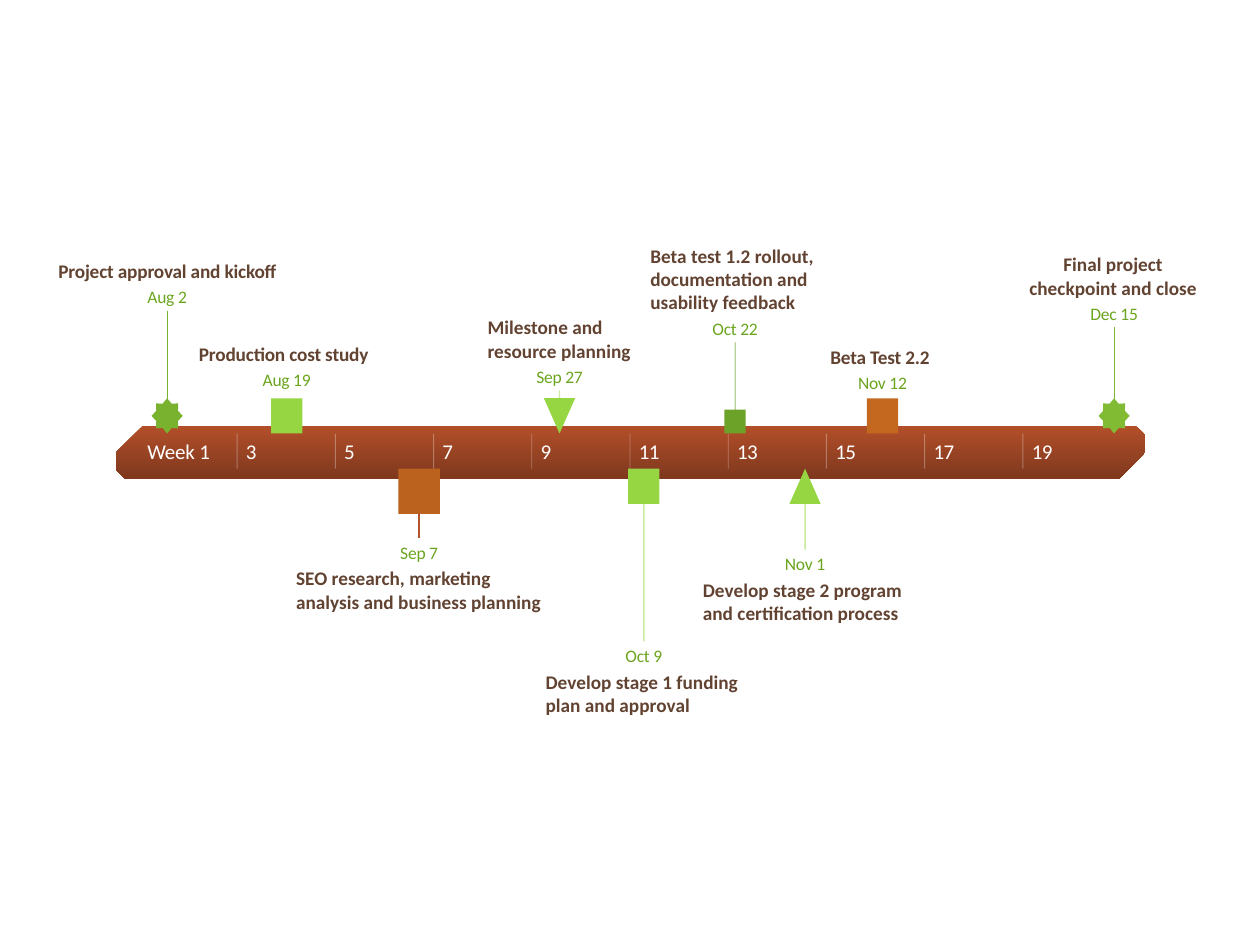
from dataclasses import dataclass
from typing import Optional

import lxml.etree
import pptx
import pptx.dml.color
import pptx.enum.shapes
import pptx.enum.text
import pptx.oxml.ns
import pptx.shapes.autoshape
import pptx.shapes.shapetree
import pptx.util

Cm = pptx.util.Cm
Pt = pptx.util.Pt
RGB = pptx.dml.color.RGBColor.from_string
Shapes = pptx.shapes.shapetree.SlideShapes
MSO = pptx.enum.shapes.MSO_SHAPE
ALIGN = pptx.enum.text.PP_ALIGN
qn = pptx.oxml.ns.qn


@dataclass(frozen=True)
class Theme:
    font: str = "Calibri"
    title: str = "624332"
    date: str = "6BA51F"
    white: str = "FFFFFF"
    band_top: str = "B24F29"
    band_bottom: str = "7F381E"
    lime: str = "96D642"
    leaf: str = "79B22E"
    grass: str = "81BB34"
    moss: str = "6DA228"
    amber: str = "C46820"
    rust: str = "BA621E"
    brick: str = "B1542C"
    week_size: float = 12
    title_size: float = 11
    date_size: float = 10
    stem_width: float = 0.75
    tick_width: float = 0.5


@dataclass(frozen=True)
class Box:
    left: float
    top: float
    width: float
    height: float


@dataclass(frozen=True)
class Style:
    size: float
    color: str
    bold: bool = False
    spacing: int = 0
    align: ALIGN = ALIGN.LEFT


@dataclass(frozen=True)
class Stem:
    color: str
    opacity: int = 100


@dataclass(frozen=True)
class Milestone:
    title: str
    date: str
    x: float
    date_top: float
    title_left: float
    title_width: float
    lines: int
    shape: MSO
    color: str
    stem: Optional[Stem] = None
    above: bool = True
    align: ALIGN = ALIGN.LEFT
    width: float = 0.63
    height: float = 0.71

    @property
    def marker_top(self) -> float:
        return INNER_TOP - self.height if self.above else INNER_BOTTOM


T = Theme()
BAND = Box(2.34, 8.59, 20.75, 1.06)
INNER_TOP, INNER_BOTTOM = 8.74, 9.45
FIRST_TICK, TICK_STEP = 4.78, 1.98
LINE_HEIGHT, DATE_HEIGHT, GAP = 0.47, 0.43, 0.07
FAINT_LIME = Stem(T.lime, 50)

MILESTONES = [
    Milestone("Project approval and kickoff", "Aug 2", 3.37, 5.77, 1.12, 4.52, 1,
              MSO.STAR_8_POINT, T.leaf, Stem(T.leaf), align=ALIGN.CENTER),
    Milestone("Production cost study", "Aug 19", 5.78, 7.44, 4.01, 3.51, 1,
              MSO.RECTANGLE, T.lime),
    Milestone("Milestone and resource planning", "Sep 27", 11.28, 7.37, 9.83, 2.92, 2,
              MSO.ISOSCELES_TRIANGLE, T.lime, FAINT_LIME),
    Milestone("Beta test 1.2 rollout, documentation and usability feedback", "Oct 22",
              14.82, 6.4, 13.11, 3.38, 3, MSO.RECTANGLE, T.moss, Stem(T.moss, 50),
              width=0.43, height=0.48),
    Milestone("Beta Test 2.2", "Nov 12", 17.79, 7.49, 16.74, 2.06, 1,
              MSO.RECTANGLE, T.amber),
    Milestone("Final project checkpoint and close", "Dec 15", 22.46, 6.1, 20.74, 3.4, 2,
              MSO.STAR_8_POINT, T.grass, Stem(T.grass), align=ALIGN.CENTER),
    Milestone("SEO research, marketing analysis and business planning", "Sep 7",
              8.45, 10.92, 5.97, 4.95, 2, MSO.RECTANGLE, T.rust, Stem(T.brick),
              above=False, width=0.84, height=0.91),
    Milestone("Develop stage 1 funding plan and approval", "Oct 9", 12.98, 13, 11, 3.99, 2,
              MSO.RECTANGLE, T.lime, FAINT_LIME, above=False),
    Milestone("Develop stage 2 program and certification process", "Nov 1",
              16.23, 11.15, 14.17, 4.09, 2, MSO.ISOSCELES_TRIANGLE, T.lime, FAINT_LIME,
              above=False),
]


def add_text(shapes: Shapes, text: str, box: Box, style: Style, wrap: bool = False) -> None:
    sp = shapes.add_textbox(Cm(box.left), Cm(box.top), Cm(box.width), Cm(box.height))
    tf = sp.text_frame
    tf.margin_left = tf.margin_top = tf.margin_right = tf.margin_bottom = 0
    tf.vertical_anchor = pptx.enum.text.MSO_ANCHOR.MIDDLE
    tf.word_wrap = wrap
    tf.text = text
    p = tf.paragraphs[0]
    p.alignment = style.align
    f = p.runs[0].font
    f.name, f.size, f.bold = T.font, Pt(style.size), style.bold
    f.color.rgb = RGB(style.color)
    if style.spacing:
        p.runs[0]._r.get_or_add_rPr().set("spc", str(style.spacing))


def add_vertical(shapes: Shapes, x: float, top: float, bottom: float,
                 stem: Stem, width: float) -> None:
    c = shapes.add_connector(pptx.enum.shapes.MSO_CONNECTOR.STRAIGHT,
                             Cm(x), Cm(top), Cm(x), Cm(bottom))
    c.line.width = Pt(width)
    c.line.color.rgb = RGB(stem.color)
    spPr = c._element.spPr
    if stem.opacity < 100:
        clr = spPr.find(".//" + qn("a:srgbClr"))
        lxml.etree.SubElement(clr, qn("a:alpha")).set("val", str(stem.opacity * 1000))
    lxml.etree.SubElement(spPr, qn("a:effectLst"))


def add_plain_shape(shapes: Shapes, kind: MSO, box: Box) -> pptx.shapes.autoshape.Shape:
    sp = shapes.add_shape(kind, Cm(box.left), Cm(box.top), Cm(box.width), Cm(box.height))
    sp.shadow.inherit = False
    sp.line.fill.background()
    return sp


def add_stem(shapes: Shapes, m: Milestone) -> None:
    if m.stem is None:
        return
    end = m.date_top + DATE_HEIGHT + GAP if m.above else m.date_top - GAP
    top, bottom = sorted((m.marker_top + m.height / 2, end))
    add_vertical(shapes, m.x, top, bottom, m.stem, T.stem_width)


def add_band(shapes: Shapes) -> None:
    sp = add_plain_shape(shapes, MSO.SNIP_2_DIAG_RECTANGLE, BAND)
    sp.adjustments[0], sp.adjustments[1] = 1, 0.17
    sp.fill.gradient()
    sp.fill.gradient_angle = 270
    for stop, position, color in zip(sp.fill.gradient_stops, (0, 1),
                                     (T.band_top, T.band_bottom)):
        stop.position = position
        stop.color.rgb = RGB(color)


def add_weeks(shapes: Shapes) -> None:
    add_text(shapes, "Week 1", Box(2.97, 8.84, 1.3, 0.51),
             Style(T.week_size, T.white, spacing=-10))
    for i, week in enumerate(range(3, 20, 2)):
        x = FIRST_TICK + i * TICK_STEP
        add_vertical(shapes, x, INNER_TOP, INNER_BOTTOM, Stem(T.white, 30), T.tick_width)
        label = str(week)
        add_text(shapes, label, Box(x + 0.18, 8.84, 0.21 * len(label), 0.51),
                 Style(T.week_size, T.white, spacing=-30))


def add_milestone(shapes: Shapes, m: Milestone) -> None:
    height = m.lines * LINE_HEIGHT
    top = m.date_top - GAP - height if m.above else m.date_top + DATE_HEIGHT + GAP
    add_text(shapes, m.title, Box(m.title_left, top, m.title_width, height),
             Style(T.title_size, T.title, True, -10 if m.lines == 1 else 0, m.align), True)
    width = 0.17 * len(m.date)
    add_text(shapes, m.date, Box(m.x - width / 2, m.date_top, width, DATE_HEIGHT),
             Style(T.date_size, T.date, spacing=-10, align=ALIGN.CENTER))
    sp = add_plain_shape(shapes, m.shape,
                         Box(m.x - m.width / 2, m.marker_top, m.width, m.height))
    sp.fill.solid()
    sp.fill.fore_color.rgb = RGB(m.color)
    if m.above and m.shape == MSO.ISOSCELES_TRIANGLE:
        sp._element.spPr.xfrm.set("flipV", "1")


def main() -> None:
    prs = pptx.Presentation()
    prs.slide_width, prs.slide_height = Cm(25.4), Cm(19.05)
    s = prs.slides.add_slide(prs.slide_layouts[6])
    for m in MILESTONES:
        add_stem(s.shapes, m)
    add_band(s.shapes)
    add_weeks(s.shapes)
    for m in MILESTONES:
        add_milestone(s.shapes, m)
    prs.save("out.pptx")


if __name__ == "__main__":
    main()
